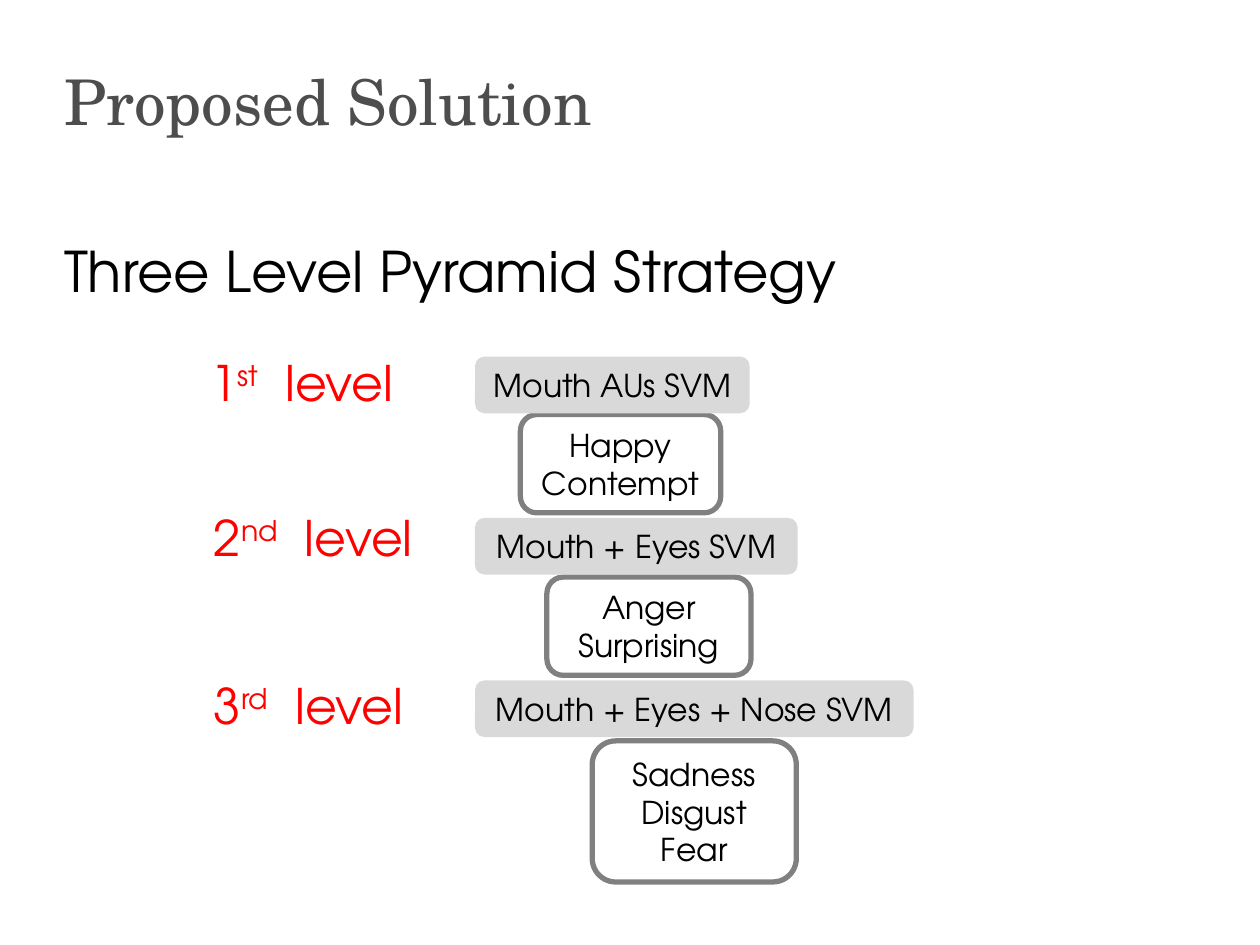
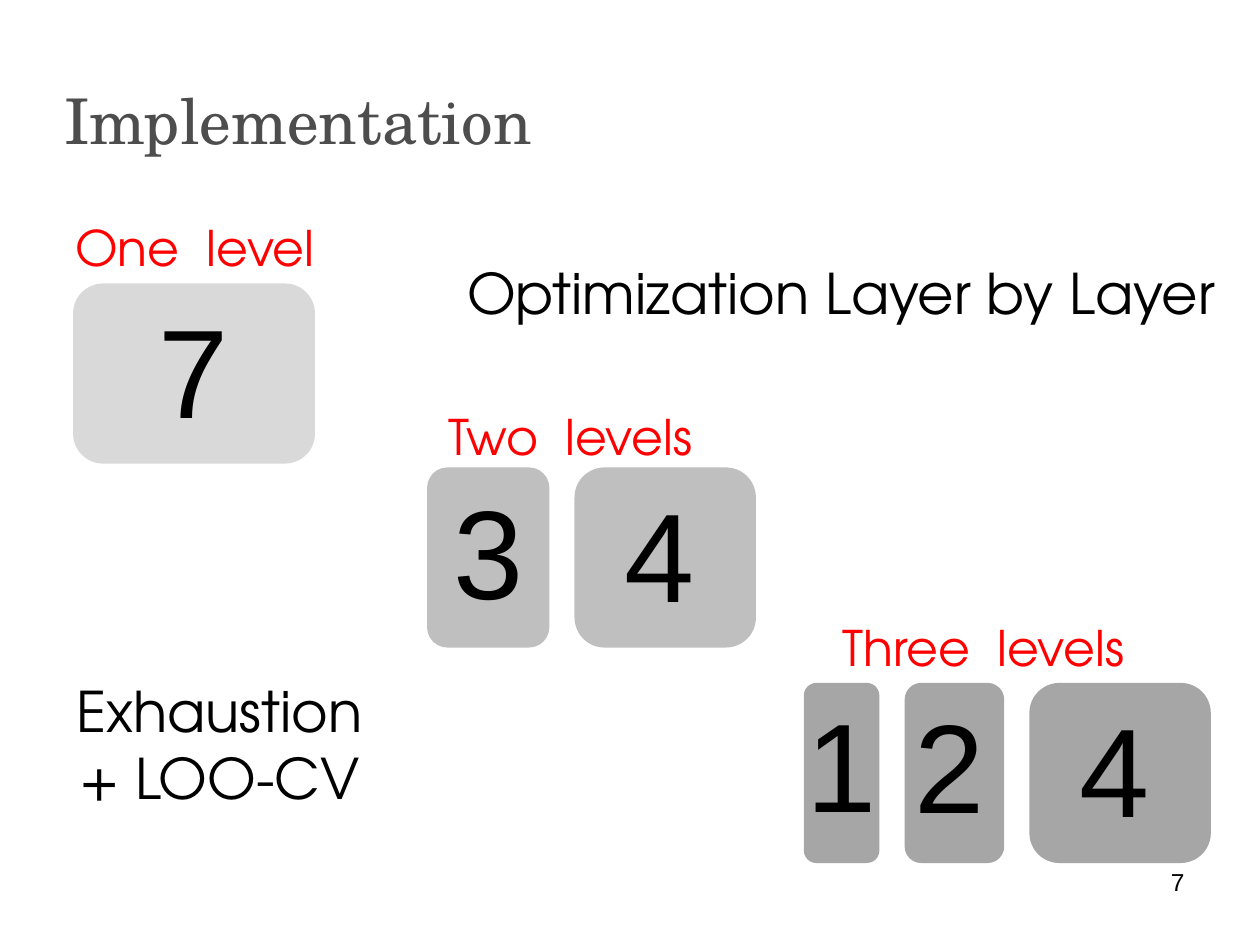
from typing import NamedTuple

from pptx import Presentation
from pptx import util as u
from pptx.dml.color import RGBColor
from pptx.enum import shapes, text

# Grid of 100 columns by 75 rows
WIDE, HIGH = u.Inches(10), u.Inches(7.5)
COL, ROW = WIDE / 100, HIGH / 75

# Shared look
SERIF, SANS, PLAIN = "TeX Gyre Schola", "TeX Gyre Adventor", "Arial"
INK, RED, BLACK, EDGE = "4D4D4D", "FF0000", "000000", "808080"
PALE, MID, DARK = "D9D9D9", "BFBFBF", "A6A6A6"
LEFT, MIDDLE, RIGHT = text.PP_ALIGN.LEFT, text.PP_ALIGN.CENTER, text.PP_ALIGN.RIGHT
TITLE = (4.1, 1.7, 74.9, 12.5)


class Piece(NamedTuple):
    """A run of text; raised in percent, spaced in points."""
    words: str
    raised: int = 0
    spaced: float = 0


class Level(NamedTuple):
    """One step of the pyramid."""
    count: str
    suffix: str
    label: tuple
    model: str
    bar: tuple
    moods: list
    box: tuple


class Stage(NamedTuple):
    """One row of layer tiles with its heading."""
    head: str
    spot: tuple
    left: float
    top: float
    digits: str
    fill: str


class Tile(NamedTuple):
    """Width of a tile and how far its digit sits left of centre."""
    wide: float
    shift: float = 0


LEVELS = [
    Level("1", "st", (15.7, 27.5, 20.8, 5.7), "Mouth AUs SVM", (37.7, 28.3, 21.8, 4.5),
          ["Happy", "Contempt"], (41.3, 32.9, 15.9, 7.8)),
    Level("2", "nd", (16, 39.8, 24.6, 5.7), "Mouth + Eyes SVM", (37.7, 41.1, 25.6, 4.5),
          ["Anger", "Surprising"], (43.4, 45.8, 16.2, 7.8)),
    Level("3", "rd", (16, 53.1, 24.6, 5.7), "Mouth + Eyes + Nose SVM", (37.7, 54, 34.8, 4.5),
          ["Sadness", "Disgust", "Fear"], (47, 58.8, 16.2, 11.2)),
]

STAGES = [
    Stage("One level", (5, 16.8, 22.5, 5.7), 5.8, 22.5, "7", PALE),
    Stage("Two levels", (34.6, 31.8, 23.7, 5.7), 33.9, 37.1, "34", MID),
    Stage("Three levels", (65.9, 48.5, 25.8, 5.7), 63.8, 54.2, "124", DARK),
]
TILES = {"1": Tile(6), "2": Tile(7.9, 0.35), "3": Tile(9.7),
         "4": Tile(14.4, 0.45), "7": Tile(19.2)}
TALL, GAP = 14.3, 2
WORD_GAP = Piece(" ", spaced=7.8)


def place(at: tuple) -> list:
    return [round(n * unit) for n, unit in zip(at, (COL, ROW, COL, ROW))]


def paint(part, colour: str) -> None:
    """Colour a font, or a fill that is already solid."""
    target = part.color if hasattr(part, "color") else part.fore_color
    target.rgb = RGBColor.from_string(colour)


def put(frame, lines: list, size=18, font=SANS, colour=BLACK, align=LEFT,
        anchor=text.MSO_ANCHOR.TOP, wrap=True, leading=None) -> None:
    """Write each line, a string or a list of pieces, as a paragraph."""
    frame.word_wrap = wrap
    frame.vertical_anchor = anchor
    for i, line in enumerate(lines):
        para = frame.add_paragraph() if i else frame.paragraphs[0]
        para.alignment = align
        para.line_spacing = leading
        for piece in [Piece(line)] if isinstance(line, str) else line:
            run = para.add_run()
            run.text = piece.words
            run.font.size, run.font.name = u.Pt(size), font
            paint(run.font, colour)
            if piece.raised:
                run.font._element.set("baseline", str(piece.raised * 1000))
            if piece.spaced:
                run.font._element.set("spc", str(round(piece.spaced * 100)))


def write(slide, lines: list, at: tuple, **look):
    box = slide.shapes.add_textbox(*place(at))
    put(box.text_frame, lines, **look)
    return box


def block(slide, at: tuple, fill: str = "", edge: str = ""):
    """Draw a rounded block with a fill or an outline."""
    shape = slide.shapes.add_shape(shapes.MSO_SHAPE.ROUNDED_RECTANGLE, *place(at))
    shape.shadow.inherit = False
    if fill:
        shape.fill.solid()
        paint(shape.fill, fill)
    else:
        shape.fill.background()
    if edge:
        paint(shape.line, edge)
        shape.line.width = u.Pt(3)
    else:
        shape.line.fill.background()
    return shape


def start(deck, title: str, leading=None):
    """Add a slide with the shared title."""
    slide = deck.slides.add_slide(deck.slide_layouts[5])
    head = slide.shapes.title
    head.left, head.top, head.width, head.height = place(TITLE)
    put(head.text_frame, [title], size=36, font=SERIF, colour=INK,
        anchor=text.MSO_ANCHOR.MIDDLE, leading=leading)
    head.text_frame.auto_size = text.MSO_AUTO_SIZE.NONE
    return slide


def pyramid(deck) -> None:
    slide = start(deck, "Proposed Solution")
    write(slide, ["Three Level Pyramid Strategy"], (4.1, 18.3, 80.1, 6.4), size=32)
    look = dict(align=MIDDLE, anchor=text.MSO_ANCHOR.MIDDLE, wrap=False)
    for level in LEVELS:
        name = [Piece(level.count), Piece(level.suffix, raised=30), WORD_GAP, Piece("level")]
        write(slide, [name], level.label, size=28, colour=RED)
        put(block(slide, level.box, edge=EDGE).text_frame, level.moods, **look)
        put(block(slide, level.bar, fill=PALE).text_frame, [level.model], **look)


def layers(deck) -> None:
    slide = start(deck, "Implementation", leading=1.5)
    write(slide, ["7"], (71.7, 68.3, 23.3, 5.2), size=14, font=PLAIN, align=RIGHT)

    # Tiles run left to right with equal gaps
    for stage in STAGES:
        left = stage.left
        for digit in stage.digits:
            tile = TILES[digit]
            shape = block(slide, (left, stage.top, tile.wide, TALL), fill=stage.fill)
            frame = shape.text_frame
            frame.margin_left = frame.margin_top = frame.margin_bottom = 0
            frame.margin_right = round(2 * tile.shift * COL)
            put(frame, [digit], size=72, font=PLAIN, align=MIDDLE, wrap=False)
            left += tile.wide + GAP
        first, last = stage.head.split()
        write(slide, [[Piece(first), WORD_GAP, Piece(last)]], stage.spot, size=28, colour=RED)

    # Method notes
    note = write(slide, ["Exhaustion", "+ LOO-CV"], (0, 53.2, 36.1, 11.8),
                 size=32, align=MIDDLE)
    inset = round(1.23 * COL)
    note.text_frame.paragraphs[0]._p.get_or_add_pPr().set("marR", str(inset))
    write(slide, ["Optimization Layer by Layer"], (36.1, 20, 62.5, 6.4), size=32)


def main() -> None:
    deck = Presentation()
    deck.slide_width, deck.slide_height = WIDE, HIGH
    pyramid(deck)
    layers(deck)
    deck.save("out.pptx")


if __name__ == "__main__":
    main()
